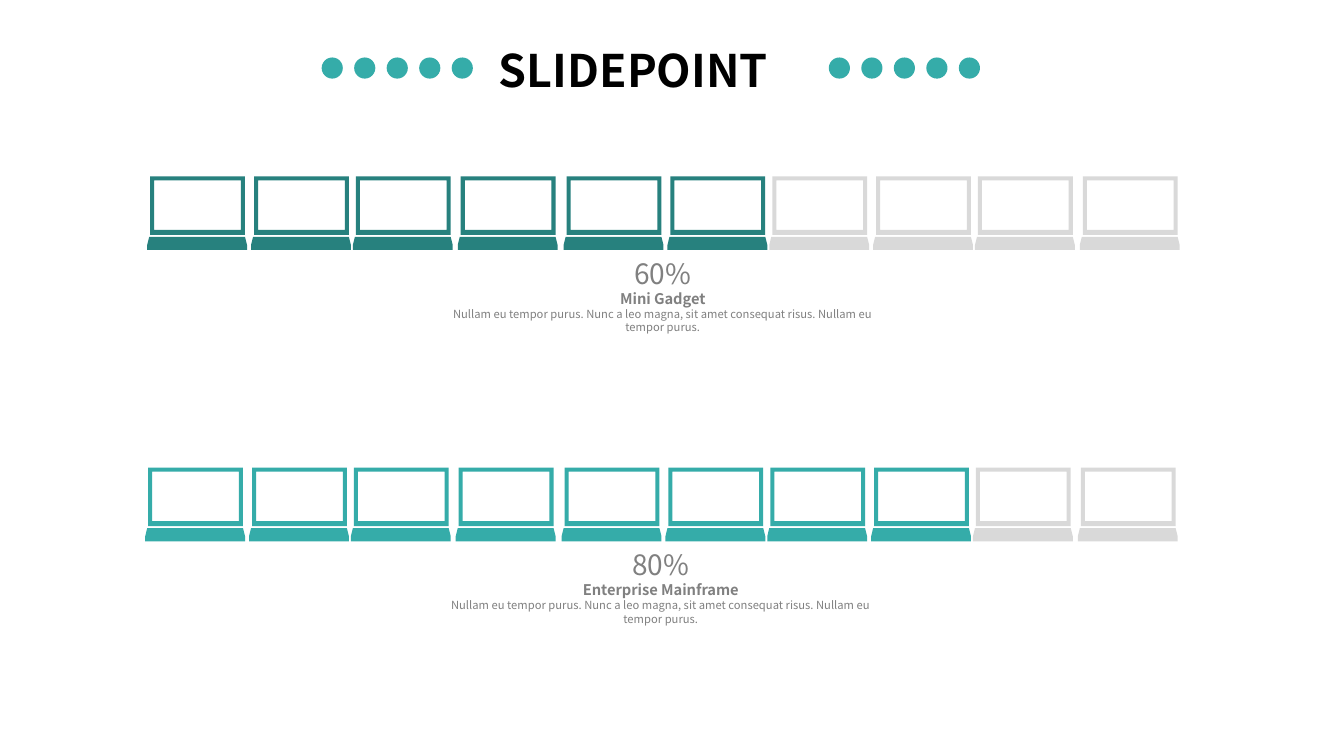
from pptx import Presentation
from pptx.dml.color import RGBColor
from pptx.enum.shapes import MSO_SHAPE
from pptx.enum.text import MSO_AUTO_SIZE, PP_ALIGN
from pptx.util import Inches, Pt

OVAL = MSO_SHAPE.OVAL
GROW = MSO_AUTO_SIZE.SHAPE_TO_FIT_TEXT
CENTER = PP_ALIGN.CENTER

DARK = RGBColor(0x27, 0x81, 0x7E)
TEAL = RGBColor(0x35, 0xAC, 0xA9)
PALE = RGBColor(0xD9, 0xD9, 0xD9)
GRAY = RGBColor(0x80, 0x80, 0x80)
BLACK = RGBColor(0, 0, 0)
FACE = "Noto Sans CJK JP"

STEPS = (0, 1.03, 2.04, 3.08, 4.13, 5.16, 6.17, 7.2, 8.21, 9.25)
SCREEN = (
    ((0.97, 0), (0.03, 0), (0.03, 0.58), (0.97, 0.58)),
    ((0.93, 0.53), (0.93, 0.04), (0.07, 0.04), (0.07, 0.53)),
)
BASE = (
    ((0.99, 0.68), (0.97, 0.6), (0.02, 0.6), (0, 0.68), (0, 0.73), (0.99, 0.73)),
)
BLURB = ("Nullam eu tempor purus. Nunc a leo magna, sit amet consequat risus. "
         "Nullam eu tempor purus.")


def paint(shape, color):
    shape.shadow.inherit = False
    shape.fill.solid()
    shape.fill.fore_color.rgb = color
    shape.line.fill.background()


def write(para, text, size, color, bold):
    run = para.add_run()
    run.text = text
    look = {"name": FACE, "size": Pt(size), "bold": bold}
    for key, value in look.items():
        setattr(run.font, key, value)
    run.font.color.rgb = color


def outline(shapes, left, top, loops, color):
    paths = [[(Inches(left + x), Inches(top + y)) for x, y in loop] for loop in loops]
    pen = shapes.build_freeform(*paths[0][0])
    pen.add_line_segments(paths[0][1:])
    for path in paths[1:]:
        pen.move_to(*path[0])
        pen.add_line_segments(path[1:])
    paint(pen.convert_to_shape(), color)


def laptop(slide, left, top, color):
    group = slide.shapes.add_group_shape()
    for loops in (SCREEN, BASE):
        outline(group.shapes, left, top, loops, color)


def caption(slide, left, top, share, name):
    box = slide.shapes.add_textbox(Inches(left), Inches(top), Inches(4.63), Inches(0.85))
    frame = box.text_frame
    form = {"word_wrap": True, "auto_size": GROW,
            "margin_left": Inches(0.07), "margin_right": Inches(0.07),
            "margin_top": Inches(0.03), "margin_bottom": Inches(0.03)}
    for key, value in form.items():
        setattr(frame, key, value)
    lines = ((share, 20, False), (name, 10.5, True), (BLURB, 8, False))
    for i, (text, size, bold) in enumerate(lines):
        para = frame.add_paragraph() if i else frame.paragraphs[0]
        para.alignment = CENTER
        write(para, text, size, GRAY, bold)


def gauge(slide, left, top, count, color, name):
    for i, step in enumerate(STEPS):
        laptop(slide, left + step, top, color if i < count else PALE)
    caption(slide, left + 2.8, top + 0.76, f"{count * 10}%", name)


def dots(shapes, left, top):
    for i in range(5):
        dot = shapes.add_shape(OVAL, Inches(left + i * 1.29 / 4), Inches(top),
                               Inches(0.21), Inches(0.21))
        paint(dot, TEAL)


def header(slide, left, top):
    shapes = slide.shapes.add_group_shape().shapes
    box = shapes.add_textbox(Inches(left + 1.66), Inches(top), Inches(3.27), Inches(0.64))
    frame = box.text_frame
    frame.word_wrap = False
    frame.auto_size = GROW
    write(frame.paragraphs[0], "SLIDEPOINT", 32, BLACK, True)
    for shift in (5.03, 0):
        dots(shapes, left + shift, top + 0.2)


def main():
    deck = Presentation()
    deck.slide_width = Inches(13.33)
    deck.slide_height = Inches(7.5)
    slide = deck.slides.add_slide(deck.slide_layouts[6])
    gauge(slide, 1.46, 1.75, 6, DARK, "Mini Gadget")
    gauge(slide, 1.44, 4.64, 8, TEAL, "Enterprise Mainframe")
    header(slide, 3.19, 0.37)
    deck.save("out.pptx")


if __name__ == "__main__":
    main()
